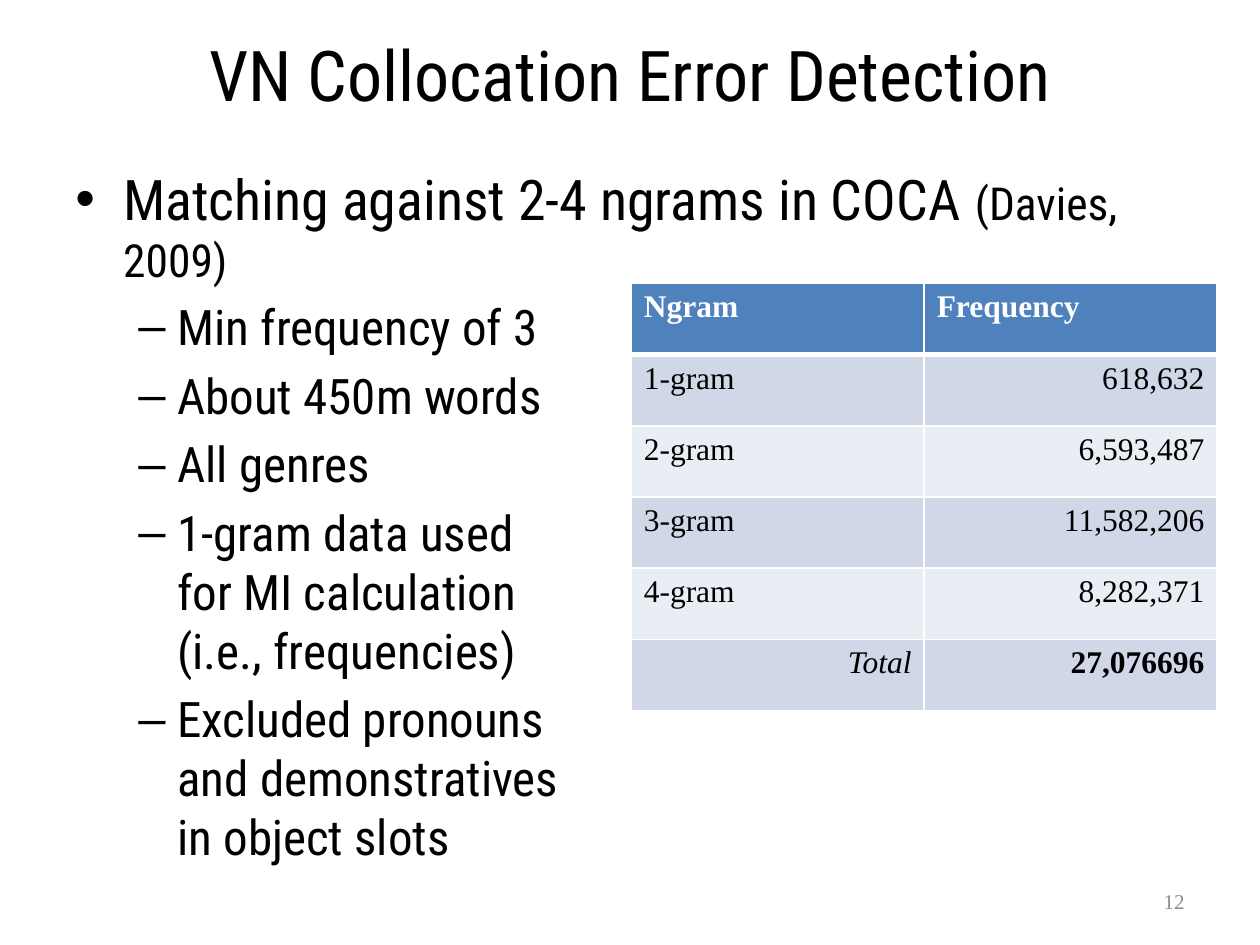
from lxml import etree
from pptx import Presentation
from pptx.dml.color import RGBColor
from pptx.enum.text import MSO_ANCHOR, MSO_AUTO_SIZE, PP_ALIGN
from pptx.oxml.ns import qn
from pptx.util import Inches, Pt

LEFT, CENTER, RIGHT = PP_ALIGN.LEFT, PP_ALIGN.CENTER, PP_ALIGN.RIGHT
TOP, MIDDLE = MSO_ANCHOR.TOP, MSO_ANCHOR.MIDDLE
NO_AUTOFIT = MSO_AUTO_SIZE.NONE

BLACK = RGBColor(0x00, 0x00, 0x00)
WHITE = RGBColor(0xFF, 0xFF, 0xFF)
GRAY = RGBColor(0x8C, 0x8C, 0x8C)
HEADER_BLUE = RGBColor(0x4F, 0x81, 0xBD)
BANDS = (RGBColor(0xD0, 0xD8, 0xE8), RGBColor(0xE9, 0xED, 0xF4))

SANS, SERIF = "Roboto Condensed", "Times New Roman"
SLIDE_W, SLIDE_H = Inches(10), Inches(7.5)
MARGIN = 0.05  # share of the slide width

# Per outline level: left indent, hanging indent, bullet
LEVELS = ((0.38, -0.38, "•"), (0.81, -0.31, "–"))
OUTLINE = [
    (0, [("Matching against 2-4 ngrams in COCA ", 32), ("(Davies, 2009)", 26)]),
    (1, [("Min frequency of 3", 28)]),
    (1, [("About 450m words", 28)]),
    (1, [("All genres", 28)]),
    (1, [("1-gram data used \nfor MI calculation \n(i.e., frequencies)", 28)]),
    (1, [("Excluded pronouns\nand demonstratives \nin object slots", 28)]),
]
FREQUENCIES = [
    ("Ngram", "Frequency"),
    ("1-gram", "618,632"),
    ("2-gram", "6,593,487"),
    ("3-gram", "11,582,206"),
    ("4-gram", "8,282,371"),
    ("Total", "27,076696"),
]


def place(shape, left, top, width, height):
    """Position a shape by shares of the slide's size."""
    box = {"left": left * SLIDE_W, "top": top * SLIDE_H,
           "width": width * SLIDE_W, "height": height * SLIDE_H}
    for side, length in box.items():
        setattr(shape, side, int(length))


def add_text(paragraph, text, size, font, color, **styles):
    """Append formatted text, turning newlines into line breaks."""
    for number, line in enumerate(text.split("\n")):
        if number:
            paragraph.add_line_break()
        run = paragraph.add_run()
        run.text = line
        for key, value in {"size": Pt(size), "name": font, **styles}.items():
            setattr(run.font, key, value)
        run.font.color.rgb = color


def set_frame(frame, anchor):
    """Wrap the text of a frame and fix its anchor."""
    settings = {"word_wrap": True, "auto_size": NO_AUTOFIT,
                "vertical_anchor": anchor}
    for key, value in settings.items():
        setattr(frame, key, value)


def add_title(slide, text):
    """Fill the title placeholder."""
    title = slide.shapes.title
    place(title, MARGIN, 0.015, 1 - 2 * MARGIN, 0.125)
    set_frame(title.text_frame, MIDDLE)
    paragraph = title.text_frame.paragraphs[0]
    paragraph.alignment = CENTER
    add_text(paragraph, text, 40, SANS, BLACK)


def add_text_box(slide, box, anchor):
    """Add a wrapping text box and return its frame."""
    shape = slide.shapes.add_textbox(0, 0, 0, 0)
    place(shape, *box)
    set_frame(shape.text_frame, anchor)
    return shape.text_frame


def set_bullet(paragraph, level):
    """Give a paragraph the indent and bullet of its outline level."""
    indent, hanging, bullet = LEVELS[level]
    paragraph.level = level
    properties = paragraph._p.get_or_add_pPr()
    properties.set("marL", str(Inches(indent)))
    properties.set("indent", str(Inches(hanging)))
    etree.SubElement(properties, qn("a:buFont")).set("typeface", "Arial")
    etree.SubElement(properties, qn("a:buChar")).set("char", bullet)


def add_outline(slide, items):
    """Add the bulleted outline."""
    frame = add_text_box(slide, (MARGIN, 0.168, 1 - 2 * MARGIN, 0.688), TOP)
    for number, (level, pieces) in enumerate(items):
        paragraph = frame.add_paragraph() if number else frame.paragraphs[0]
        paragraph.space_before = Pt(0.2 * pieces[0][1])
        set_bullet(paragraph, level)
        for text, size in pieces:
            add_text(paragraph, text, size, SANS, BLACK)


def set_borders(cell, widths):
    """Draw white cell borders, widths in points by side."""
    properties = cell._tc.get_or_add_tcPr()
    for index, side in enumerate(("L", "R", "T", "B")):
        line = etree.Element(qn("a:ln" + side))
        line.set("w", str(Pt(widths.get(side, 1))))
        fill = etree.SubElement(line, qn("a:solidFill"))
        etree.SubElement(fill, qn("a:srgbClr")).set("val", str(WHITE))
        properties.insert(index, line)


def add_frequency_table(slide, rows):
    """Add the banded table with a header row and a total row."""
    last = len(rows) - 1
    graphic = slide.shapes.add_table(
        len(rows), 2, Inches(5.01), Inches(2.25), Inches(4.65), Inches(3.39))
    for r, row in enumerate(rows):
        for c, text in enumerate(row):
            cell = graphic.table.cell(r, c)
            cell.fill.solid()
            cell.fill.fore_color.rgb = BANDS[(r - 1) % 2] if r else HEADER_BLUE
            set_borders(cell, {0: {"B": 3}, 1: {"T": 3}}.get(r, {}))
            paragraph = cell.text_frame.paragraphs[0]
            paragraph.alignment = RIGHT if r == last or (r and c) else LEFT
            add_text(paragraph, text, 18, SERIF, BLACK if r else WHITE,
                     bold=r == 0 or (r == last and c == 1),
                     italic=r == last and c == 0)


def add_page_number(slide, number):
    """Add the page number at the lower right."""
    frame = add_text_box(slide, (0.717, 0.927, 0.233, 0.053), MIDDLE)
    paragraph = frame.paragraphs[0]
    paragraph.alignment = RIGHT
    add_text(paragraph, number, 12, SERIF, GRAY)


def main():
    """Build and save the slide."""
    deck = Presentation()
    deck.slide_width, deck.slide_height = SLIDE_W, SLIDE_H
    slide = deck.slides.add_slide(deck.slide_layouts.get_by_name("Title Only"))
    add_title(slide, "VN Collocation Error Detection")
    add_outline(slide, OUTLINE)
    add_frequency_table(slide, FREQUENCIES)
    add_page_number(slide, "12")
    deck.save("out.pptx")


main()
